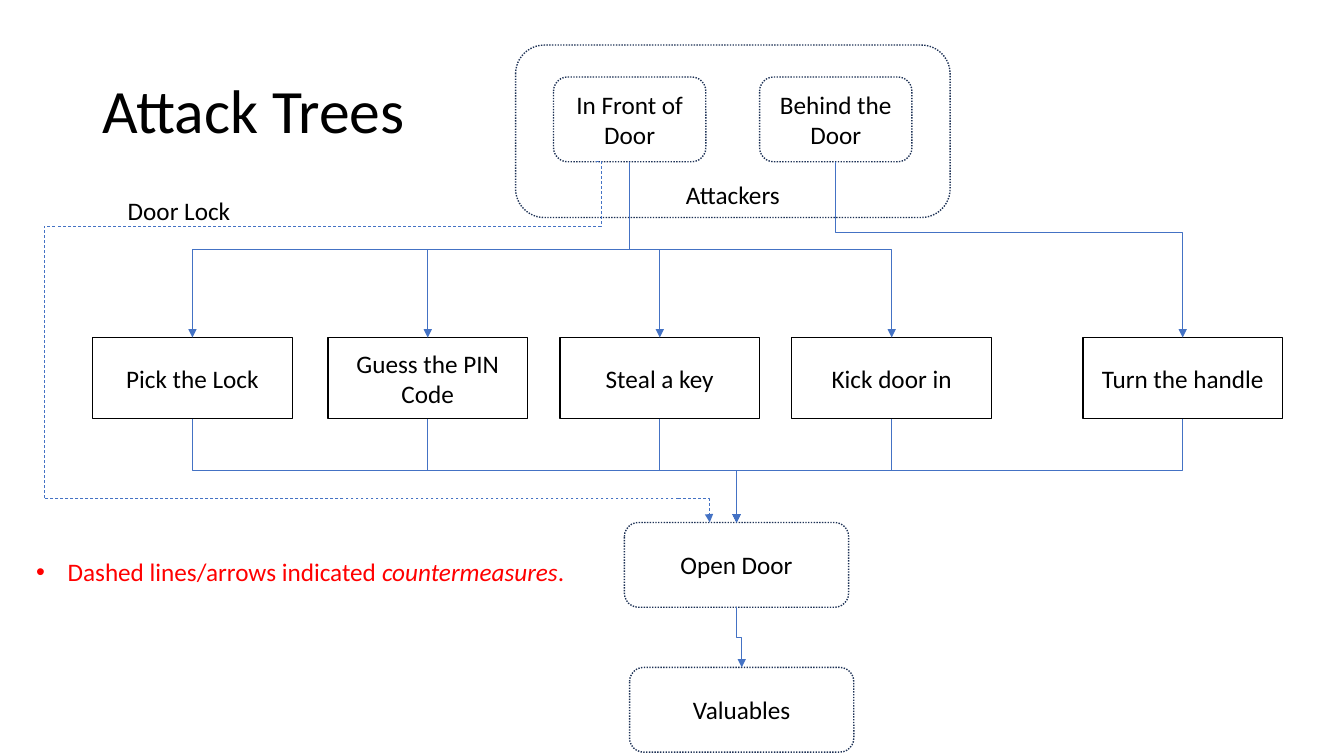
"""Build the Attack Trees slide."""
from dataclasses import dataclass

from lxml import etree
from pptx import Presentation
from pptx import util as u
from pptx.dml.color import RGBColor
from pptx.enum import dml, shapes, text
from pptx.oxml.ns import qn


@dataclass(frozen=True)
class Theme:
    """Colours, font and sizes of the slide."""
    font: str = "Calibri"
    title_size: float = 44
    body_size: float = 18
    ink: str = "000000"
    paper: str = "FFFFFF"
    state: str = "1E3256"
    arrow: str = "4472C4"
    note: str = "FF0000"
    box_line: float = 1
    arrow_line: float = 0.5


def write_text(frame, *runs, font, size, color, align=text.PP_ALIGN.LEFT,
               anchor=text.MSO_ANCHOR.TOP, spacing=None, bullet=None, indent=22.5):
    """Fill a text frame with one paragraph; a run is a (string, italic) pair."""
    frame.word_wrap = True
    frame.vertical_anchor = anchor
    paragraph = frame.paragraphs[0]
    if bullet:
        properties = paragraph._p.get_or_add_pPr()
        properties.set("marL", str(u.Pt(indent)))
        properties.set("indent", str(-u.Pt(indent)))
        etree.SubElement(properties, qn("a:buFont"), typeface="Arial")
        etree.SubElement(properties, qn("a:buChar"), char=bullet)
    paragraph.alignment = align
    paragraph.line_spacing = spacing
    for words, italic in runs:
        run = paragraph.add_run()
        run.text = words
        run.font.name = font
        run.font.size = u.Pt(size)
        run.font.italic = italic
        run.font.color.rgb = RGBColor.from_string(color)


class Board:
    """Draw styled elements on one slide."""

    def __init__(self, slide, theme):
        """Keep the slide and its style."""
        self.slide = slide
        self.theme = theme
        self.body = dict(font=theme.font, size=theme.body_size)

    def title(self, words, left, top, width, height):
        """Place and fill the title placeholder."""
        shape = self.slide.shapes.title
        shape.left, shape.top = u.Pt(left), u.Pt(top)
        shape.width, shape.height = u.Pt(width), u.Pt(height)
        shape.text_frame.auto_size = text.MSO_AUTO_SIZE.NONE
        write_text(shape.text_frame, (words, False), font=self.theme.font,
                   size=self.theme.title_size, color=self.theme.ink,
                   anchor=text.MSO_ANCHOR.MIDDLE, spacing=0.9)

    def label(self, runs, left, top, width, height, color, **style):
        """Add a text box."""
        shape = self.slide.shapes.add_textbox(*map(u.Pt, (left, top, width, height)))
        write_text(shape.text_frame, *runs, color=color, **self.body, **style)

    def box(self, kind, words, left, top, width, height, anchor):
        """Add an outlined shape with centred text."""
        shape = self.slide.shapes.add_shape(kind, *map(u.Pt, (left, top, width, height)))
        shape.shadow.inherit = False
        shape.line.width = u.Pt(self.theme.box_line)
        write_text(shape.text_frame, (words, False), color=self.theme.ink,
                   align=text.PP_ALIGN.CENTER, anchor=anchor, **self.body)
        return shape

    def state(self, words, left, top, width, height, anchor=text.MSO_ANCHOR.MIDDLE):
        """Add a dotted rounded box."""
        shape = self.box(shapes.MSO_SHAPE.ROUNDED_RECTANGLE, words, left, top,
                         width, height, anchor)
        shape.fill.background()
        shape.line.color.rgb = RGBColor.from_string(self.theme.state)
        shape.line.dash_style = dml.MSO_LINE.ROUND_DOT
        return shape

    def step(self, words, left, top, width, height):
        """Add a solid attack step."""
        shape = self.box(shapes.MSO_SHAPE.RECTANGLE, words, left, top,
                         width, height, text.MSO_ANCHOR.MIDDLE)
        shape.fill.solid()
        shape.fill.fore_color.rgb = RGBColor.from_string(self.theme.paper)
        shape.line.color.rgb = RGBColor.from_string(self.theme.ink)
        return shape

    def elbow(self, start, end, bend=0.5, dashed=False, arrow=True):
        """Add a bent connector between two points."""
        connector = self.slide.shapes.add_connector(
            shapes.MSO_CONNECTOR.ELBOW, *map(u.Pt, (*start, *end)))
        connector.line.color.rgb = RGBColor.from_string(self.theme.arrow)
        connector.line.width = u.Pt(self.theme.arrow_line)
        if dashed:
            connector.line.dash_style = dml.MSO_LINE.DASH
        if arrow:
            etree.SubElement(connector.line._get_or_add_ln(), qn("a:tailEnd"), type="triangle")
        properties = connector._element.spPr
        etree.SubElement(properties, qn("a:effectLst"))
        guides = properties.find(qn("a:prstGeom")).find(qn("a:avLst"))
        etree.SubElement(guides, qn("a:gd"), name="adj1", fmla=f"val {round(bend * 100000)}")
        return connector

    def drop(self, source, target, bend=0.5):
        """Join the bottom of one box to the top of another, leaving downwards."""
        connector = self.elbow((0, 0), (1, 1), bend)
        connector.begin_connect(source, 2)
        connector.end_connect(target, 0)
        start_x, end_x = source.left + source.width // 2, target.left + target.width // 2
        start_y, end_y = source.top + source.height, target.top
        span, rise = abs(end_x - start_x), end_y - start_y
        connector.left = (start_x + end_x - rise) // 2
        connector.top = (start_y + end_y - span) // 2
        connector.width, connector.height = rise, span
        rightward = end_x > start_x
        transform = connector._element.spPr.find(qn("a:xfrm"))
        transform.set("rot", str((270 if rightward else 90) * 60000))
        transform.set("flipH", "1" if rightward else "0")
        transform.set("flipV", "0")


def main():
    """Draw the slide and save it."""
    presentation = Presentation()
    presentation.slide_width, presentation.slide_height = u.Pt(960), u.Pt(540)
    theme = Theme()
    board = Board(presentation.slides.add_slide(presentation.slide_layouts[5]), theme)
    board.title("Attack Trees", 66, 28.8, 828, 104.4)

    front = board.state("In Front of Door", 395.4, 55, 108.8, 60.6)
    behind = board.state("Behind the Door", 542.6, 55, 108.8, 60.6)
    attackers = board.state("Attackers", 368.3, 32.2, 310.4, 123.2, text.MSO_ANCHOR.BOTTOM)
    attackers.text_frame.margin_bottom = 0

    attacks = [("Pick the Lock", 66.1), ("Guess the PIN Code", 234.2), ("Steal a key", 399.9),
               ("Kick door in", 565.6), ("Turn the handle", 773.5)]
    steps = [board.step(words, left, 241.1, 142.7, 57.9) for words, left in attacks]
    open_door = board.state("Open Door", 446, 373.2, 160.2, 60.6)
    valuables = board.state("Valuables", 449.7, 476.7, 160.2, 60.6)

    for step in steps[:-1]:
        board.drop(front, step)
    board.drop(behind, steps[-1], bend=0.4)
    for step in steps:
        board.drop(step, open_door)
    board.drop(open_door, valuables)

    board.label([("Dashed lines/arrows indicated ", False), ("countermeasures", True),
                 (".", False)], 18.7, 393.8, 396.7, 29, theme.note, bullet="•")

    lock, turn = (40.3, 161.8), (484.6, 356.2)
    board.elbow((425.5, 115.6), lock, bend=-0.01, dashed=True, arrow=False)
    board.elbow(turn, lock, bend=1.02, dashed=True, arrow=False)
    board.elbow(turn, (507, 373.2), bend=0.98, dashed=True)
    board.label([("Door Lock", False)], 84.2, 136.1, 206.6, 29, theme.ink)
    presentation.save("out.pptx")


if __name__ == "__main__":
    main()
